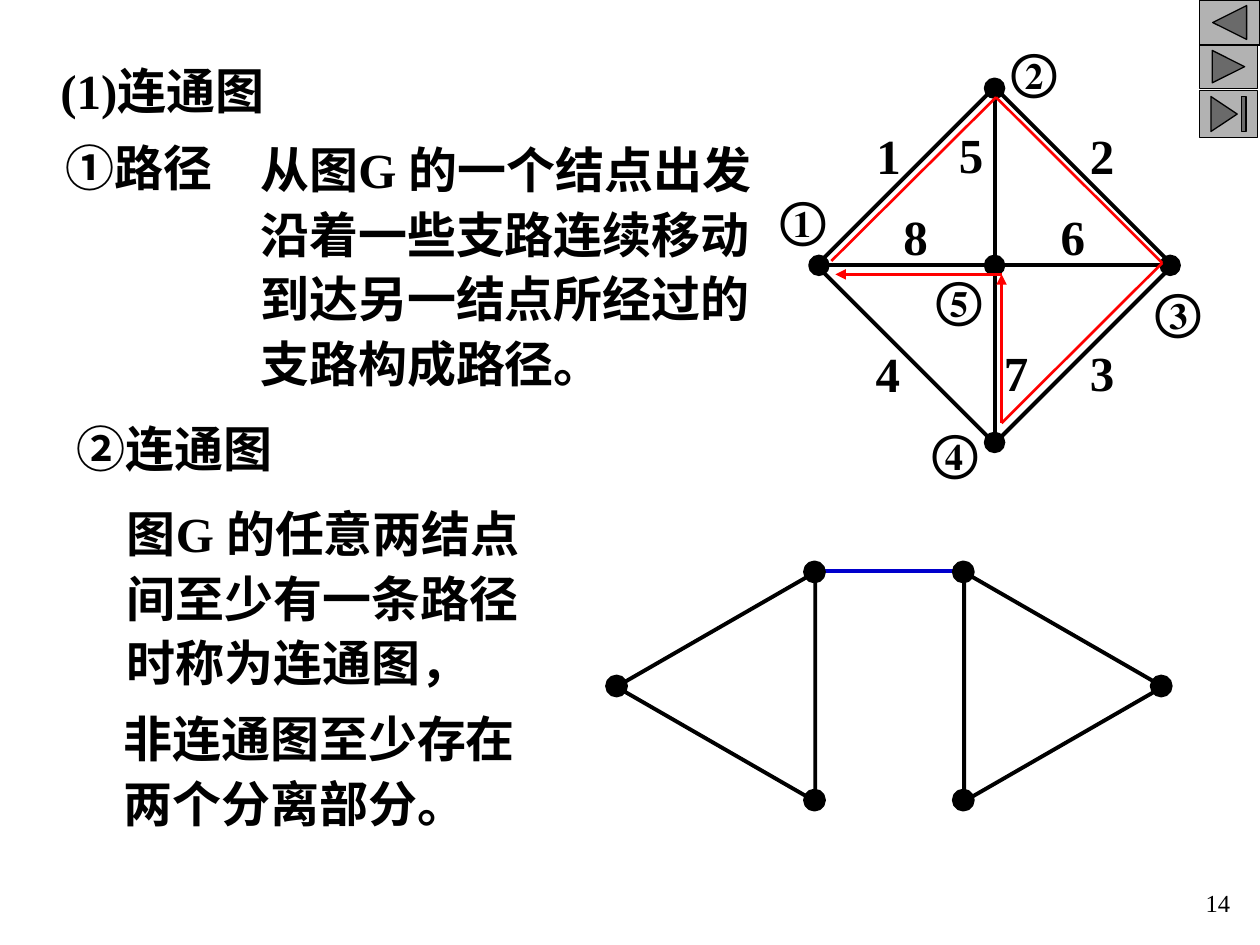
from itertools import pairwise

from lxml import etree
from pptx import Presentation
from pptx import util as u
from pptx.dml.color import RGBColor
from pptx.enum import shapes, text
from pptx.oxml import ns

BLACK = RGBColor(0x00, 0x00, 0x00)
RED = RGBColor(0xFF, 0x00, 0x00)
BLUE = RGBColor(0x00, 0x00, 0xCC)
GREY = RGBColor(0xB2, 0xB2, 0xB2)
LATIN = "Times New Roman"
HAN = "Noto Sans CJK SC"
KIND = shapes.MSO_SHAPE
DOT = 0.38


def apply(target, values):
    for name, value in values.items():
        setattr(target, name, value)


class Board:
    font = {"name": LATIN, "size": u.Pt(28), "bold": True}
    frame = {"word_wrap": True, "auto_size": text.MSO_AUTO_SIZE.SHAPE_TO_FIT_TEXT}

    def __init__(self, slide):
        self.slide = slide
        self.items = slide.shapes

    def start_group(self):
        self.items = self.slide.shapes.add_group_shape().shapes

    def end_group(self):
        self.items = self.slide.shapes

    def words(self, box, runs, han=None, frame=None, font=None, **paragraph_format):
        area = self.items.add_textbox(*map(u.Cm, box)).text_frame
        apply(area, self.frame | (frame or {}))
        paragraph = area.paragraphs[0]
        apply(paragraph, paragraph_format)
        for wording, face in runs:
            run = paragraph.add_run()
            run.text = wording
            apply(run.font, self.font | {"name": face} | (font or {}))
            run.font.color.rgb = BLACK
            if han:
                etree.SubElement(run.font._element, ns.qn("a:ea"), typeface=han)

    def body(self, box, wording, **paragraph_format):
        self.words(box, [(wording, LATIN)], HAN, **paragraph_format)

    def label(self, left, top, wording, width):
        self.words((left, top, width, 1.45), [(wording, LATIN)], frame={"word_wrap": False})

    def shape(self, kind, box, fill=None, weight=2.25, rotation=0):
        item = self.items.add_shape(kind, *map(u.Cm, box))
        item.shadow.inherit = False
        item.rotation = rotation
        if fill is None:
            item.fill.background()
        else:
            item.fill.solid()
            item.fill.fore_color.rgb = fill
        item.line.color.rgb = BLACK
        item.line.width = u.Pt(weight)
        return item

    def node(self, x, y, weight):
        self.shape(KIND.OVAL, (x - DOT / 2, y - DOT / 2, DOT, DOT), BLACK, weight)

    def line(self, start, end, color=BLACK, weight=2.25, arrow=False):
        item = self.items.add_connector(
            shapes.MSO_CONNECTOR.STRAIGHT, *map(u.Cm, (*start, *end)))
        item.line.color.rgb = color
        item.line.width = u.Pt(weight)
        if arrow:
            outline = item.line._get_or_add_ln()
            etree.SubElement(outline, ns.qn("a:tailEnd"), type="triangle")
        etree.SubElement(item._element.spPr, ns.qn("a:effectLst"))
        return item


def draw_network(board):
    x, y, reach = 20.05, 5.35, 3.59
    board.start_group()
    ring = board.shape(KIND.DIAMOND, (x - reach, y - reach, 2 * reach, 2 * reach))
    diagonals = [((x - reach, y), (x + reach, y), 1, 3),
                 ((x, y - reach), (x, y + reach), 0, 2)]
    for start, end, first_side, last_side in diagonals:
        branch = board.line(start, end)
        branch.begin_connect(ring, first_side)
        branch.end_connect(ring, last_side)
    for dx, dy in [(0, 0), (-1, 0), (0, -1), (1, 0), (0, 1)]:
        board.node(x + 3.54 * dx, y + 3.57 * dy, 1.5)
    branch_labels = [(17.42, 2.41, "1"), (21.72, 2.41, "2"), (21.72, 6.78, "3"),
                     (17.4, 6.81, "4"), (19.08, 2.39, "5"), (21.13, 4.04, "6"),
                     (19.99, 6.78, "7"), (17.96, 4.04, "8")]
    node_labels = [(15.49, 3.68, "①"), (20.14, 0.69, "②"), (23.04, 5.54, "③"),
                   (18.54, 8.38, "④"), (18.62, 5.28, "⑤")]
    for labels, width in [(branch_labels, 0.99), (node_labels, 1.42)]:
        for label in labels:
            board.label(*label, width)
    board.end_group()

    route = [(16.76, 5.26), (20.08, 1.96), (23.43, 5.3), (20.19, 8.53),
             (20.19, 5.53), (16.84, 5.53)]
    for step, (start, end) in enumerate(pairwise(route)):
        board.line(start, end, RED, 1.5, arrow=step > 2)


def draw_separate_parts(board):
    for left, rotation, base, tip in [(12.12, 270, 16.42, 12.43),
                                      (19.13, 90, 19.42, 23.41)]:
        board.start_group()
        board.shape(KIND.ISOSCELES_TRIANGLE, (left, 11.84, 4.62, 4.01), rotation=rotation)
        for x, y in [(base, 11.53), (tip, 13.83), (base, 16.13)]:
            board.node(x, y, 2.25)
        board.end_group()


def main():
    deck = Presentation()
    apply(deck, {"slide_width": u.Cm(25.4), "slide_height": u.Cm(19.05)})
    board = Board(deck.slides.add_slide(deck.slide_layouts[6]))

    buttons = [(KIND.ACTION_BUTTON_BACK_OR_PREVIOUS, 0, 1.22, 0.91),
               (KIND.ACTION_BUTTON_FORWARD_OR_NEXT, 0.91, 1.17, 0.87),
               (KIND.ACTION_BUTTON_END, 1.83, 1.17, 0.94)]
    for kind, top, width, height in buttons:
        board.shape(kind, (24.18, top, width, height), GREY, 0.75)

    bridge_y = 11.51
    board.line((16.43, bridge_y), (19.43, bridge_y), BLUE)

    board.body((0.97, 1.09, 8.28, 1.45), "(1)连通图")
    board.body((5, 2.57, 10.85, 5.49),
               "从图G 的一个结点出发沿着一些支路连续移动到达另一结点所经过的支路构成路径。",
               line_spacing=1.1)
    board.body((1.3, 8.31, 5.03, 1.45), "②连通图")
    board.body((2.31, 9.91, 8.99, 4.17),
               "图G 的任意两结点间至少有一条路径时称为连通图，", line_spacing=1.1)
    board.words((1.07, 2.64, 4.24, 1.45), [("①", HAN), ("路径", LATIN)], HAN)

    draw_network(board)
    draw_separate_parts(board)

    board.body((2.24, 14.05, 8.99, 2.87), "非连通图至少存在两个分离部分。",
               line_spacing=1.1)
    board.words((18.95, 17.78, 6.1, 1.27), [("14", LATIN)],
                frame={"auto_size": text.MSO_AUTO_SIZE.NONE},
                font={"size": u.Pt(14), "bold": False},
                alignment=text.PP_ALIGN.RIGHT)
    deck.save("out.pptx")


if __name__ == "__main__":
    main()
